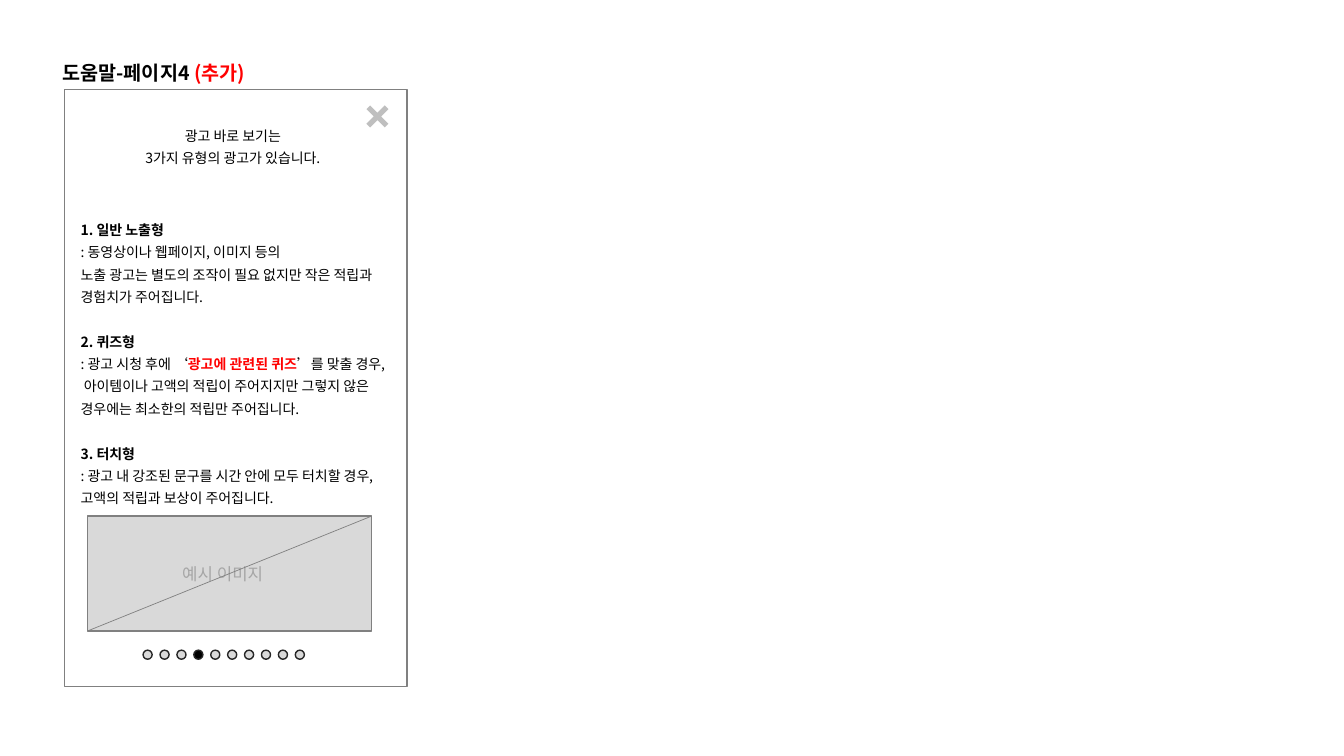
"""Build the help page 4 wireframe slide."""
from lxml.etree import SubElement
from pptx import Presentation
from pptx.dml.color import RGBColor
from pptx.enum.shapes import MSO_CONNECTOR, MSO_SHAPE
from pptx.enum.text import MSO_ANCHOR, MSO_AUTO_SIZE, PP_ALIGN
from pptx.oxml.ns import qn
from pptx.util import Pt

THEME = {
    "font": "Noto Sans CJK KR",
    "ink": "000000", "red": "FF0000", "gray": "808080", "pale": "D9D9D9",
    "mute": "A6A6A6", "close": "BFBFBF", "ring": "262626",
    "title": 14, "body": 10, "label": 12, "lead": 16,
}

TITLE = [[("도움말-페이지4 ", "ink", True), ("(추가)", "red", True)]]
INTRO = [
    [("광고 바로 보기는", "ink", False)],
    [("3가지 유형의 광고가 있습니다.", "ink", False)],
]
TYPES = [
    ("1. 일반 노출형", [
        [(": 동영상이나 웹페이지, 이미지 등의", "ink", False)],
        [("노출 광고는 별도의 조작이 필요 없지만 작은 적립과 경험치가 주어집니다.", "ink", False)],
    ]),
    ("2. 퀴즈형", [
        [(": 광고 시청 후에 ‘", "ink", False),
         ("광고에 관련된 퀴즈", "red", True),
         ("’를 맞출 경우, 아이템이나 고액의 적립이 주어지지만 "
          "그렇지 않은 경우에는 최소한의 적립만 주어집니다.", "ink", False)],
    ]),
    ("3. 터치형", [
        [(": 광고 내 강조된 문구를 시간 안에 모두 터치할 경우, "
          "고액의 적립과 보상이 주어집니다.", "ink", False)],
    ]),
]
LABEL = [[("예시 이미지", "mute", False)]]

FRAME = (46.1, 64.1, 244.8, 426.2)
IMAGE = (62.6, 368.6, 203, 82.1)
CLOSE = (257, 70.6, 25.2, 25.2)
DOTS = {"count": 10, "active": 3, "left": 102.2, "top": 464.4, "size": 6.5, "step": 12.08}


def color(name):
    """Return a theme colour."""
    return RGBColor.from_string(THEME[name])


def apply(item, values):
    """Set each named value on the item."""
    for name, value in values.items():
        setattr(item, name, value)


def write(shape, lines, size, align=PP_ALIGN.LEFT, lead=None, gaps=(), wrap=True):
    """Fill a text shape with lines of styled runs."""
    frame = shape.text_frame
    apply(frame, {"word_wrap": wrap, "auto_size": MSO_AUTO_SIZE.NONE,
                  "vertical_anchor": MSO_ANCHOR.TOP})
    for row, line in enumerate(lines):
        para = frame.add_paragraph() if row else frame.paragraphs[0]
        props = para._p.get_or_add_pPr()
        apply(para, {"alignment": align, "line_spacing": Pt(lead) if lead else None,
                     "space_before": Pt(lead if row in gaps else 0)})
        if shape.is_placeholder:
            props.set("marL", "0")
            props.set("indent", "0")
            SubElement(props, qn("a:buNone"))
        for text, tone, bold in line:
            run = para.add_run()
            run.text = text
            apply(run.font, {"name": THEME["font"], "size": Pt(THEME[size]), "bold": bold})
            run.font.color.rgb = color(tone)
            SubElement(run._r.get_or_add_rPr(), qn("a:ea"), typeface=THEME["font"])


def place(shape, box):
    """Move and size a shape."""
    apply(shape, dict(zip(("left", "top", "width", "height"), map(Pt, box))))


def draw(slide, kind, box, fill=None, line=None):
    """Add a preset shape."""
    shape = slide.shapes.add_shape(kind, *map(Pt, box))
    shape.shadow.inherit = False
    if fill:
        shape.fill.solid()
        shape.fill.fore_color.rgb = color(fill)
    else:
        shape.fill.background()
    if line:
        shape.line.color.rgb = color(line)
        shape.line.width = Pt(1)
    else:
        shape.line.fill.background()
    return shape


def main():
    """Build and save the slide."""
    deck = Presentation()
    apply(deck, {"slide_width": Pt(960), "slide_height": Pt(540)})
    slide = deck.slides.add_slide(deck.slide_layouts[1])
    title, body = slide.placeholders

    place(title, (37.4, 39.6, 351.4, 24.5))
    write(title, TITLE, "title")

    lines, gaps = [], []
    for head, text in TYPES:
        if lines:
            gaps.append(len(lines))
        lines += [[(head, "ink", True)], *text]
    place(body, (50.4, 150.5, 230.4, 217.4))
    write(body, lines, "body", lead=THEME["lead"], gaps=gaps)

    draw(slide, MSO_SHAPE.RECTANGLE, FRAME, line="gray")
    intro = slide.shapes.add_textbox(*map(Pt, (64.8, 83.5, 203, 37.4)))
    write(intro, INTRO, "body", PP_ALIGN.CENTER, THEME["lead"])
    cross = draw(slide, MSO_SHAPE.MATH_MULTIPLY, CLOSE, "close")
    cross.adjustments[0] = 0.147

    draw(slide, MSO_SHAPE.RECTANGLE, IMAGE, "pale", "gray")
    label = slide.shapes.add_textbox(*map(Pt, (123.1, 398.9, 79.2, 21.6)))
    write(label, LABEL, "label", wrap=False)
    left, top, width, height = IMAGE
    slash = slide.shapes.add_connector(
        MSO_CONNECTOR.STRAIGHT, *map(Pt, (left, top + height, left + width, top)))
    slash.line.color.rgb = color("gray")
    slash.line.width = Pt(0.5)
    SubElement(slash._element.spPr, qn("a:effectLst"))

    for spot in range(DOTS["count"]):
        box = (DOTS["left"] + spot * DOTS["step"], DOTS["top"], DOTS["size"], DOTS["size"])
        draw(slide, MSO_SHAPE.OVAL, box, "ink" if spot == DOTS["active"] else "pale", "ring")

    deck.save("out.pptx")


if __name__ == "__main__":
    main()
